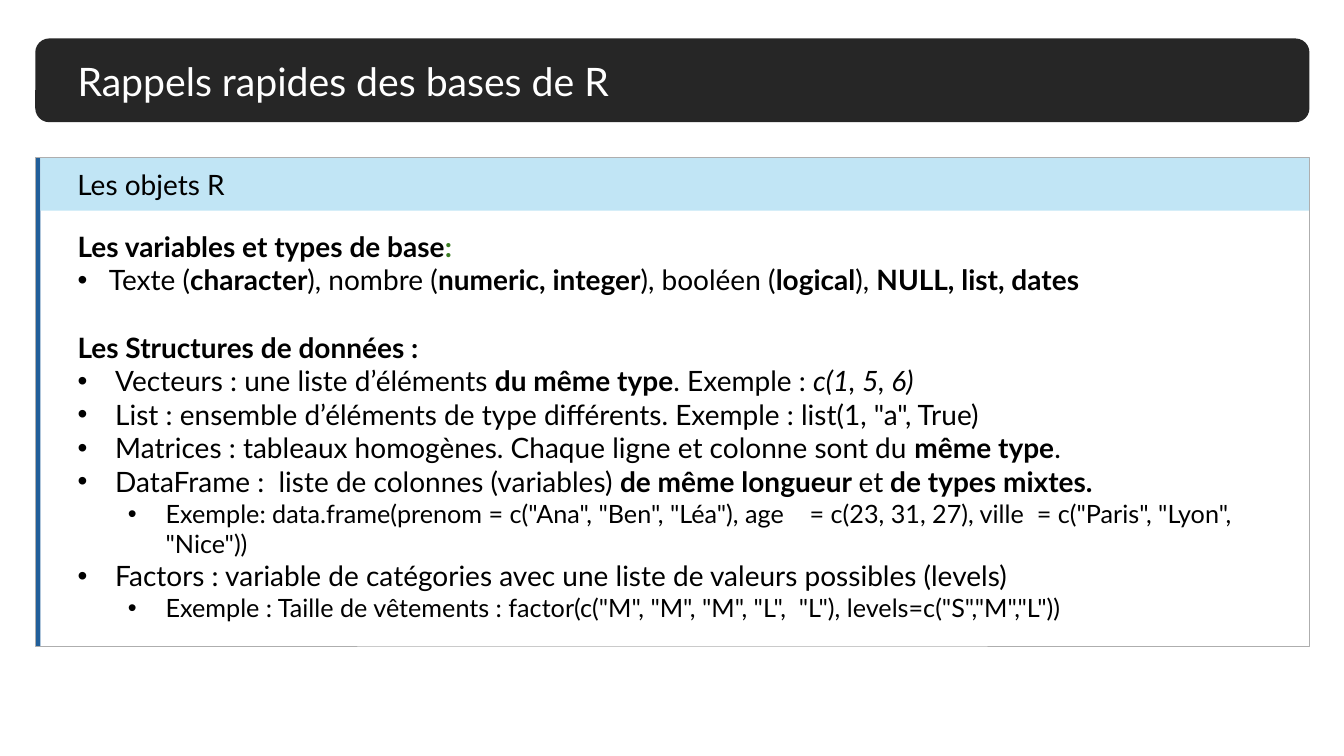
from dataclasses import dataclass

from lxml import etree
from pptx import Presentation
from pptx.dml.color import RGBColor
from pptx.enum import shapes, text
from pptx.oxml import ns
from pptx.util import Cm, Pt


@dataclass(frozen=True)
class Theme:
    font: str = "Lato"
    title_size: int = 28
    text_size: int = 20
    example_size: int = 18
    black: str = "000000"
    white: str = "FFFFFF"
    dark: str = "262626"
    green: str = "3B7D23"
    accent: str = "215F9A"
    header: str = "C1E5F5"
    border: str = "AEAEAE"


@dataclass(frozen=True)
class Box:
    """A rectangle in centimetres."""
    left: float
    top: float
    width: float
    height: float

    def inner(self, left, top, width=None, height=None):
        """Box offset from this one; by default it runs to the far edges."""
        return Box(self.left + left, self.top + top,
                   self.width - left if width is None else width,
                   self.height - top if height is None else height)

    def lengths(self):
        return [Cm(value) for value in (self.left, self.top, self.width, self.height)]


THEME = Theme()
TEXT_INDENT = 0.81  # from a panel's left edge to its text boxes
PLAIN, BOLD, ITALIC = {}, {"bold": True}, {"italic": True}
GREEN_BOLD = {"bold": True, "color": THEME.green}

# Paragraph kinds: level, left margin and hanging indent (cm), size, space before (pt)
HEADING = (0, 0, 0, THEME.text_size, 0)
NEXT_HEADING = (0, 0, 0, THEME.text_size, 24)
TYPES = (0, 0.79, 0.79, THEME.text_size, 0)
STRUCTURE = (0, 0.95, 0.95, THEME.text_size, 0)
EXAMPLE = (1, 2.22, 0.95, THEME.example_size, 0)

R_OBJECTS = [
    (HEADING, [("Les variables et types de base", BOLD), (":", GREEN_BOLD)]),
    (TYPES, [("Texte (", PLAIN), ("character", BOLD), ("), nombre (", PLAIN),
             ("numeric, integer", BOLD), ("), booléen (", PLAIN), ("logical", BOLD),
             ("), ", PLAIN), ("NULL, list, dates", BOLD)]),
    (NEXT_HEADING, [("Les Structures de données :", BOLD)]),
    (STRUCTURE, [("Vecteurs : une liste d’éléments ", PLAIN), ("du même type", BOLD),
                 (". Exemple : ", PLAIN), ("c(1, 5, 6)", ITALIC)]),
    (STRUCTURE, [("List : ensemble d’éléments de type différents. "
                  'Exemple : list(1, "a", True)', PLAIN)]),
    (STRUCTURE, [("Matrices : tableaux homogènes. Chaque ligne et colonne sont du ", PLAIN),
                 ("même type", BOLD), (".", PLAIN)]),
    (STRUCTURE, [("DataFrame :  liste de colonnes (variables) ", PLAIN),
                 ("de même longueur ", BOLD), ("et", PLAIN), (" de types mixtes.", BOLD)]),
    (EXAMPLE, [('Exemple: data.frame(prenom = c("Ana", "Ben", "Léa"), age    = c(23, 31, 27), '
                'ville  = c("Paris", "Lyon", "Nice"))', PLAIN)]),
    (STRUCTURE, [("Factors : variable de catégories avec une liste de valeurs "
                  "possibles (levels)", PLAIN)]),
    (EXAMPLE, [('Exemple : Taille de vêtements : factor(c("M", "M", "M", "L",  "L"), '
                'levels=c("S","M","L"))', PLAIN)]),
]


def set_attributes(target, values):
    for name, value in values.items():
        setattr(target, name, value)


def add_block(slide, box, fill=None, line=None, kind=shapes.MSO_SHAPE.RECTANGLE):
    shape = slide.shapes.add_shape(kind, *box.lengths())
    shape.shadow.inherit = False
    if fill:
        shape.fill.solid()
        shape.fill.fore_color.rgb = RGBColor.from_string(fill)
    else:
        shape.fill.background()
    if line:
        shape.line.color.rgb = RGBColor.from_string(line)
        shape.line.width = Pt(0.25)
    else:
        shape.line.fill.background()
    return shape


def prepare_frame(shape, anchor):
    set_attributes(shape.text_frame, {
        "word_wrap": True, "auto_size": text.MSO_AUTO_SIZE.NONE, "vertical_anchor": anchor})
    return shape.text_frame


def place_placeholder(placeholder, box, anchor):
    """Move a placeholder to the box, in front of the shapes drawn so far."""
    set_attributes(placeholder, dict(zip(("left", "top", "width", "height"), box.lengths())))
    placeholder.element.getparent().append(placeholder.element)
    return prepare_frame(placeholder, anchor)


def add_run(paragraph, words, size, bold=False, italic=False, color=THEME.black):
    run = paragraph.add_run()
    run.text = words
    set_attributes(run.font, {
        "name": THEME.font, "size": Pt(size), "bold": bold, "italic": italic})
    run.font.color.rgb = RGBColor.from_string(color)


def format_paragraph(paragraph, level, margin, hanging, space_before):
    """Set the indents and spacing; a hanging indent gets a bullet."""
    set_attributes(paragraph, {
        "level": level, "alignment": text.PP_ALIGN.LEFT, "line_spacing": 1.0,
        "space_before": Pt(space_before), "space_after": Pt(0)})
    properties = paragraph._p.get_or_add_pPr()
    properties.set("marL", str(Cm(margin)))
    properties.set("indent", str(-Cm(hanging)))
    if hanging:
        etree.SubElement(properties, ns.qn("a:buFont")).set("typeface", "Arial")
        etree.SubElement(properties, ns.qn("a:buChar")).set("char", "•")
    else:
        etree.SubElement(properties, ns.qn("a:buNone"))


def add_title_bar(slide, box, title):
    add_block(slide, box, THEME.dark, kind=shapes.MSO_SHAPE.ROUNDED_RECTANGLE)
    frame = place_placeholder(slide.shapes.title, box.inner(TEXT_INDENT, 0),
                              text.MSO_ANCHOR.MIDDLE)
    paragraph = frame.paragraphs[0]
    paragraph.alignment = text.PP_ALIGN.LEFT
    add_run(paragraph, title, THEME.title_size, color=THEME.white)


def add_panel(slide, box, heading, items):
    stripe_width, header_height = 0.13, 1.35
    add_block(slide, box.inner(0, 0, width=stripe_width), THEME.accent)
    add_block(slide, box.inner(stripe_width, 0, height=header_height), THEME.header)
    heading_box = box.inner(TEXT_INDENT, 0, 16, header_height)
    heading_shape = slide.shapes.add_textbox(*heading_box.lengths())
    frame = prepare_frame(heading_shape, text.MSO_ANCHOR.MIDDLE)
    add_run(frame.paragraphs[0], heading, THEME.text_size)

    frame = place_placeholder(slide.placeholders[1], box.inner(TEXT_INDENT, 1.69),
                              text.MSO_ANCHOR.TOP)
    for index, ((level, margin, hanging, size, space), runs) in enumerate(items):
        paragraph = frame.add_paragraph() if index else frame.paragraphs[0]
        format_paragraph(paragraph, level, margin, hanging, space)
        for words, style in runs:
            add_run(paragraph, words, size, **style)
    add_block(slide, box, line=THEME.border)


def main():
    presentation = Presentation()
    set_attributes(presentation, {"slide_width": Cm(33.87), "slide_height": Cm(19.05)})
    slide = presentation.slides.add_slide(presentation.slide_layouts[1])
    add_title_bar(slide, Box(0.89, 0.97, 32.11, 2.11), "Rappels rapides des bases de R")
    add_panel(slide, Box(0.89, 3.96, 32.11, 12.32), "Les objets R", R_OBJECTS)
    presentation.save("out.pptx")


if __name__ == "__main__":
    main()
